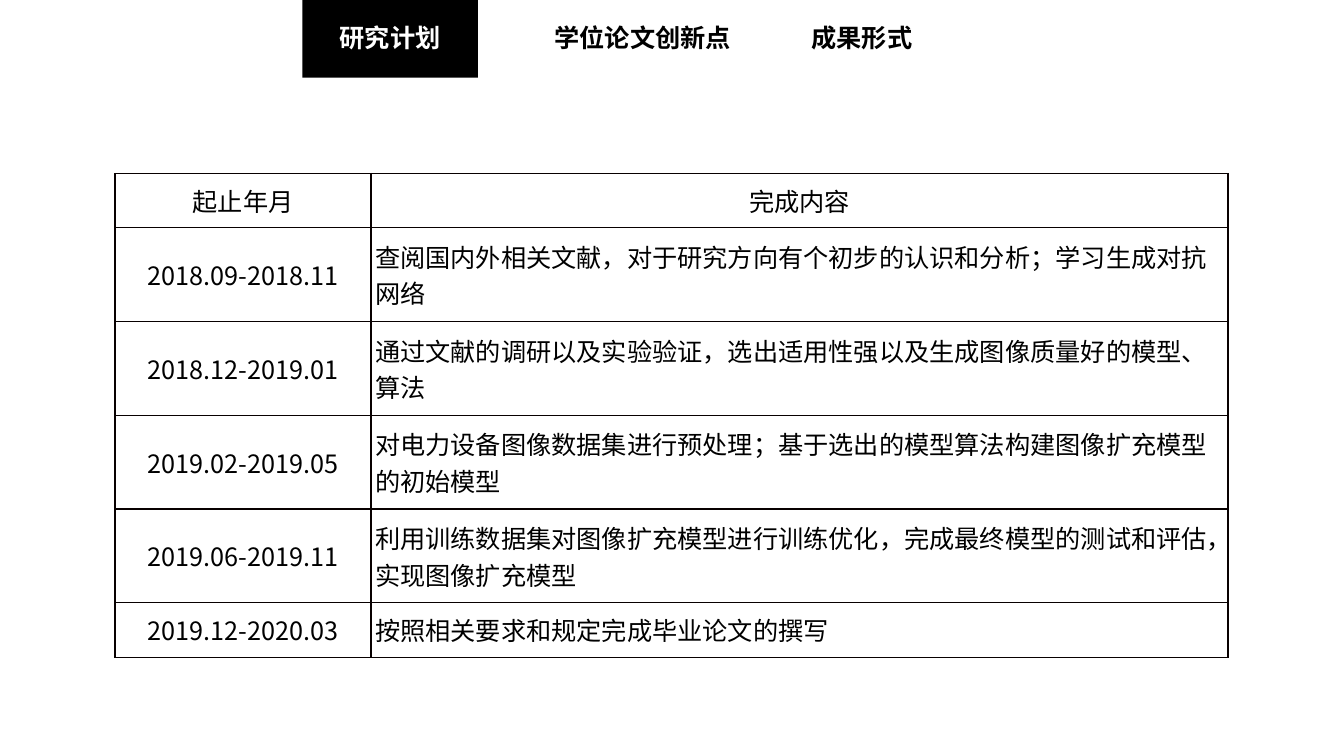
import pptx
import pptx.dml.color
import pptx.enum.shapes
import pptx.enum.text
import pptx.oxml.ns
import pptx.util
from lxml import etree

Inches = pptx.util.Inches
Pt = pptx.util.Pt
qn = pptx.oxml.ns.qn

FONT = "Noto Sans CJK SC"
COLORS = {"black": "000000", "white": "FFFFFF", "border": "080000"}

TABS = [("研究计划", 3.27, 1.2), ("学位论文创新点", 5.4, 1.95), ("成果形式", 7.95, 1.2)]
ACTIVE_TAB = "研究计划"

SCHEDULE = [
    ("起止年月", "完成内容"),
    ("2018.09-2018.11", "查阅国内外相关文献，对于研究方向有个初步的认识和分析；学习生成对抗网络"),
    ("2018.12-2019.01", "通过文献的调研以及实验验证，选出适用性强以及生成图像质量好的模型、算法"),
    ("2019.02-2019.05", "对电力设备图像数据集进行预处理；基于选出的模型算法构建图像扩充模型的初始模型"),
    ("2019.06-2019.11", "利用训练数据集对图像扩充模型进行训练优化，完成最终模型的测试和评估，实现图像扩充模型"),
    ("2019.12-2020.03", "按照相关要求和规定完成毕业论文的撰写"),
]
COLUMN_WIDTHS = [2.54, 8.5]
ROW_HEIGHTS = [0.54, 0.93, 0.93, 0.93, 0.93, 0.54]


def rgb(name):
    return pptx.dml.color.RGBColor.from_string(COLORS[name])


def write_text(text_frame, text, color, bold=False):
    text_frame.text = text
    font = text_frame.paragraphs[0].runs[0].font
    font.size = Pt(18)
    font.bold = bold
    font.color.rgb = rgb(color)
    font.name = FONT
    etree.SubElement(font._element, qn("a:ea"), typeface=FONT)


def add_tab_bar(slide, top, height):
    """Place the section tabs, with a black block behind the active one."""
    for label, left, width in TABS:
        active = label == ACTIVE_TAB
        if active:
            block = slide.shapes.add_shape(
                pptx.enum.shapes.MSO_SHAPE.RECTANGLE,
                Inches(left - 0.27), Inches(top), Inches(width + 0.54), Inches(height))
            block.shadow.inherit = False
            block.fill.solid()
            block.fill.fore_color.rgb = rgb("black")
            block.line.fill.background()
        box = slide.shapes.add_textbox(
            Inches(left), Inches(top + 0.18), Inches(width), Inches(0.4))
        box.text_frame.word_wrap = False
        box.text_frame.auto_size = pptx.enum.text.MSO_AUTO_SIZE.SHAPE_TO_FIT_TEXT
        write_text(box.text_frame, label, "white" if active else "black", bold=True)


def set_borders(cell, left_width):
    properties = cell._tc.get_or_add_tcPr()
    for side, width in (("L", left_width), ("R", 1), ("T", 1), ("B", 1)):
        line = etree.SubElement(properties, qn(f"a:ln{side}"), w=str(Pt(width)))
        fill = etree.SubElement(line, qn("a:solidFill"))
        etree.SubElement(fill, qn("a:srgbClr"), val=COLORS["border"])


def add_schedule(slide, left, top):
    table = slide.shapes.add_table(
        len(SCHEDULE), len(COLUMN_WIDTHS), Inches(left), Inches(top),
        Inches(sum(COLUMN_WIDTHS)), Inches(sum(ROW_HEIGHTS))).table
    table.first_row = False
    table.horz_banding = False
    for column, width in zip(table.columns, COLUMN_WIDTHS):
        column.width = Inches(width)
    for row, height in zip(table.rows, ROW_HEIGHTS):
        row.height = Inches(height)

    for row_index, texts in enumerate(SCHEDULE):
        for column_index, text in enumerate(texts):
            cell = table.cell(row_index, column_index)
            set_borders(cell, left_width=1.5 if column_index == 0 else 1)
            cell.fill.background()
            cell.margin_left = cell.margin_right = Inches(0.04)
            cell.margin_top = cell.margin_bottom = Inches(0.04)
            cell.vertical_anchor = pptx.enum.text.MSO_ANCHOR.MIDDLE
            write_text(cell.text_frame, text, "black")
            centered = row_index == 0 or column_index == 0
            cell.text_frame.paragraphs[0].alignment = (
                pptx.enum.text.PP_ALIGN.CENTER if centered
                else pptx.enum.text.PP_ALIGN.LEFT)


def main():
    presentation = pptx.Presentation()
    presentation.slide_width = Inches(13.33)
    presentation.slide_height = Inches(7.5)
    slide = presentation.slides.add_slide(presentation.slide_layouts[6])
    add_tab_bar(slide, top=-0.01, height=0.78)
    add_schedule(slide, left=1.14, top=1.72)
    presentation.save("out.pptx")


if __name__ == "__main__":
    main()
